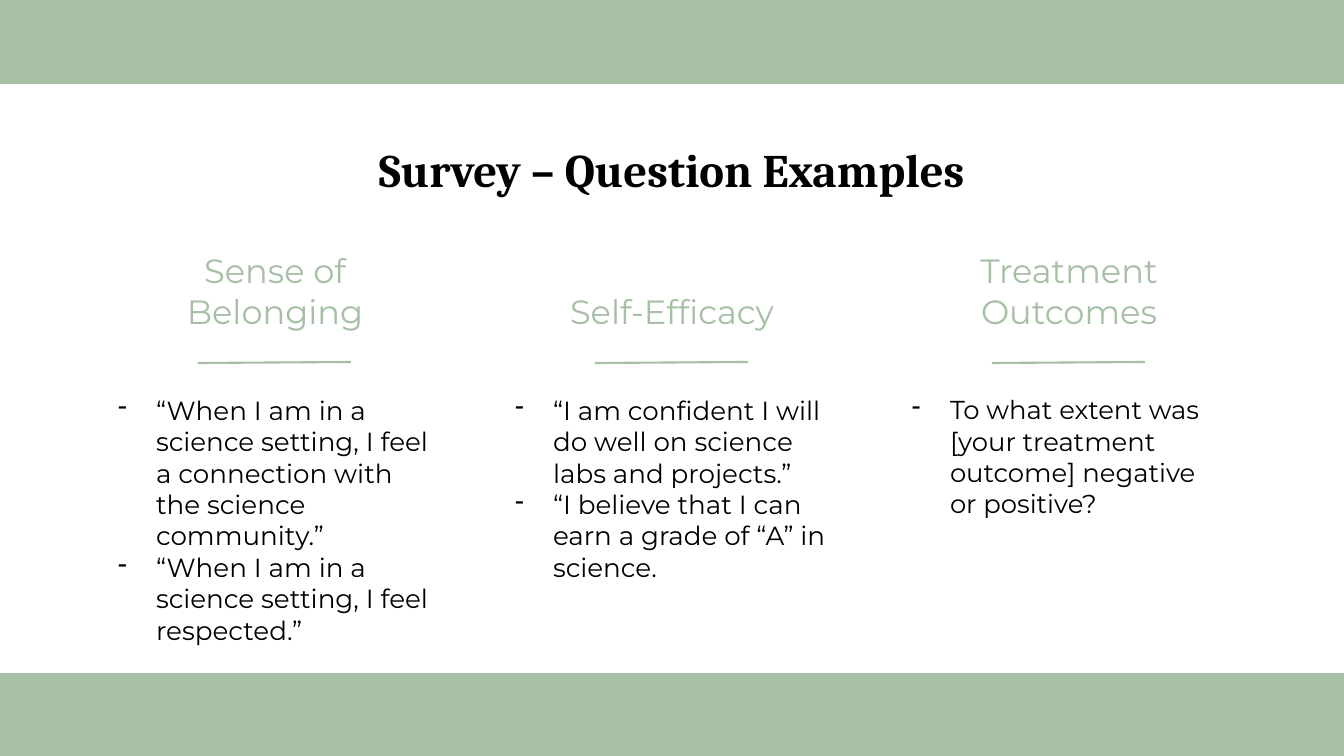
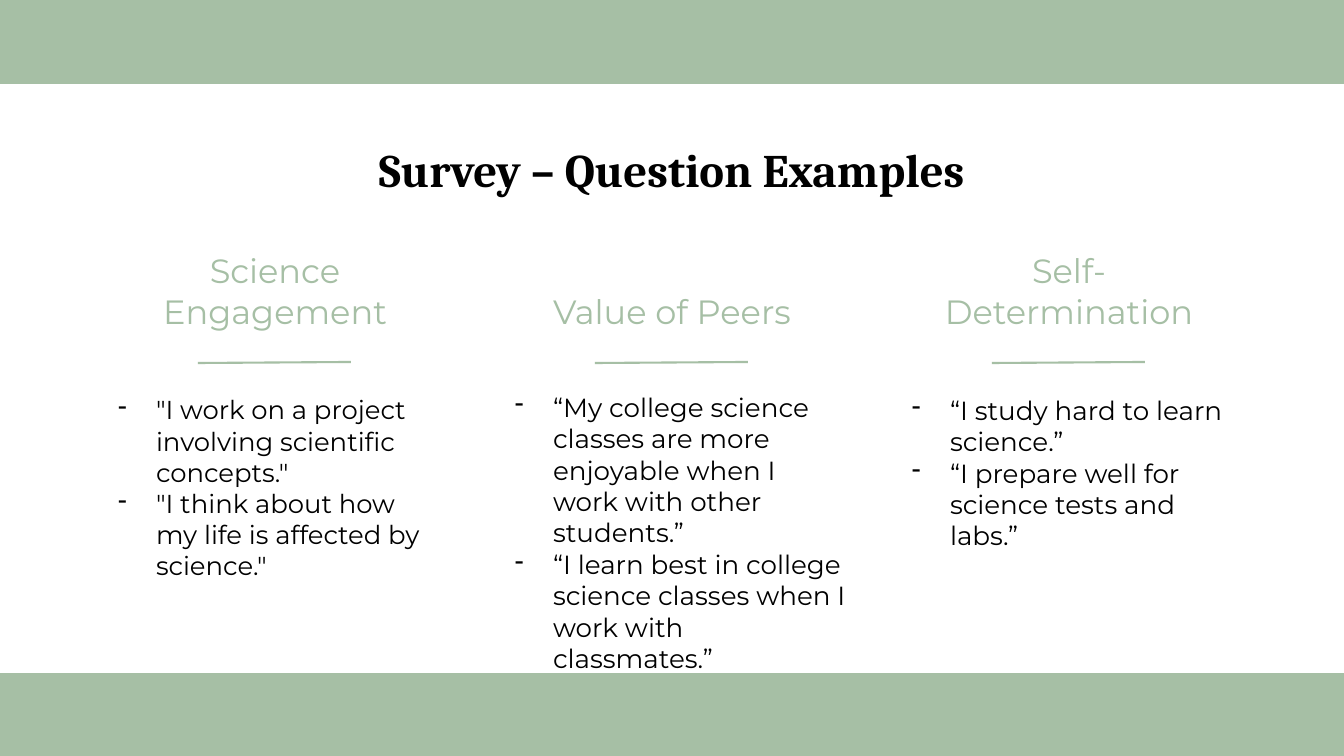
"""Build two slides of survey question examples in three columns."""
from dataclasses import dataclass

from lxml.etree import SubElement
from pptx import Presentation
from pptx.dml.color import RGBColor
from pptx.enum.shapes import MSO_CONNECTOR, MSO_SHAPE
from pptx.enum.text import MSO_ANCHOR, PP_ALIGN
from pptx.oxml.ns import qn
from pptx.util import Emu, Pt


@dataclass(frozen=True)
class Theme:
    green: RGBColor = RGBColor.from_string("A6BFA5")
    black: RGBColor = RGBColor.from_string("000000")
    serif: str = "Cambria"
    sans: str = "Montserrat"
    title: float = 33.3
    head: float = 24
    body: float = 18.7
    small: float = 18.5
    rule: float = 1.5


theme = Theme()
WIDE, HIGH = 1344, 756
LEFT, STEP, COL = 105, 397, 340
INSET, HANG = 13, 38


def px(count):
    return Emu(round(count * 914400 / 100.8))


def write(slide, place, lines, face, size, color, bold=False,
          anchor=MSO_ANCHOR.TOP, dash=False):
    frame = slide.shapes.add_textbox(*map(px, place)).text_frame
    frame.word_wrap = True
    frame.vertical_anchor = anchor
    frame.margin_left = frame.margin_right = px(INSET)
    frame.margin_top = frame.margin_bottom = px(INSET)
    frame.text = "\n".join(lines)
    for para in frame.paragraphs:
        if dash:
            props = para._p.get_or_add_pPr()
            props.set("marL", str(px(HANG)))
            props.set("indent", str(-px(HANG)))
            tint = SubElement(props, qn("a:buClr"))
            SubElement(tint, qn("a:srgbClr")).set("val", str(color))
            SubElement(props, qn("a:buChar")).set("char", "-")
        para.alignment = PP_ALIGN.LEFT if dash else PP_ALIGN.CENTER
        para.font.name = face
        para.font.size = Pt(size)
        para.font.bold = bold
        para.font.color.rgb = color


TITLE = "Survey – Question Examples"
BANDS = [(0, 84), (673, 83)]
DECK = [
    [
        ("Sense of Belonging", theme.body, (381, COL, 285), [
            "“When I am in a science setting, I feel a connection with the science community.”",
            "“When I am in a science setting, I feel respected.”",
        ]),
        ("Self-Efficacy", theme.body, (381, COL, 285), [
            "“I am confident I will do well on science labs and projects.”",
            "“I believe that I can earn a grade of “A” in science.",
        ]),
        ("Treatment Outcomes", theme.small, (381, COL, 285), [
            "To what extent was [your treatment outcome] negative or positive?",
        ]),
    ],
    [
        ("Science Engagement", theme.small, (381, COL, 203), [
            '"I work on a project involving scientific concepts."',
            '"I think about how my life is affected by science."',
        ]),
        ("Value of Peers", theme.body, (378, 357, 282), [
            "“My college science classes are more enjoyable when I work with other students.”",
            "“I learn best in college science classes when I work with classmates.”",
        ]),
        ("Self-Determination", theme.body, (381, COL, 279), [
            "“I study hard to learn science.”",
            "“I prepare well for science tests and labs.”",
        ]),
    ],
]

deck = Presentation()
deck.slide_width, deck.slide_height = px(WIDE), px(HIGH)

for topics in DECK:
    slide = deck.slides.add_slide(deck.slide_layouts[6])
    for top, high in BANDS:
        band = slide.shapes.add_shape(
            MSO_SHAPE.RECTANGLE, 0, px(top), px(WIDE), px(high))
        band.shadow.inherit = False
        band.fill.solid()
        band.fill.fore_color.rgb = theme.green
        band.line.fill.background()

    write(slide, (LEFT, 128, WIDE - 2 * LEFT, 81), [TITLE],
          theme.serif, theme.title, theme.black, bold=True)

    for col, (head, size, (top, wide, high), lines) in enumerate(topics):
        left = LEFT + col * STEP
        write(slide, (left, 267, COL, 77), [head], theme.sans, theme.head,
              theme.green, anchor=MSO_ANCHOR.BOTTOM)
        write(slide, (left, top, wide, high), lines, theme.sans, size,
              theme.black, dash=True)
        rule = slide.shapes.add_connector(
            MSO_CONNECTOR.STRAIGHT, px(left + 93), px(363), px(left + 246), px(362))
        rule.line.color.rgb = theme.green
        rule.line.width = Pt(theme.rule)
        SubElement(rule._element.spPr, qn("a:effectLst"))

deck.save("out.pptx")
